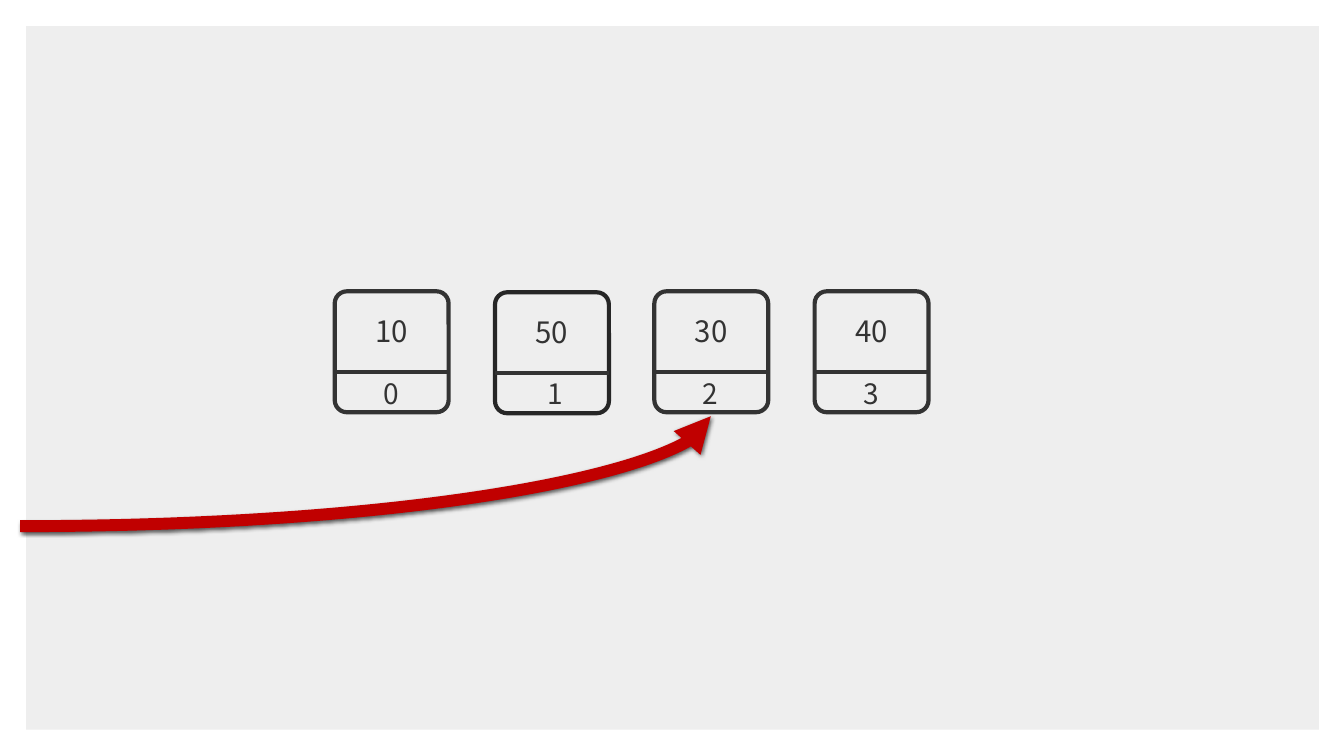
from dataclasses import dataclass

from lxml import etree
from pptx import Presentation
from pptx.dml.color import RGBColor
from pptx.enum.shapes import MSO_CONNECTOR as Connector, MSO_SHAPE as Shape
from pptx.enum.text import MSO_ANCHOR as Anchor, MSO_AUTO_SIZE as AutoSize, PP_ALIGN as Align
from pptx.oxml import parse_xml
from pptx.oxml.ns import nsdecls, qn
from pptx.util import Pt

PX = 9144  # 100 px to the inch


@dataclass(frozen=True)
class Theme:
    font: str = "Noto Sans CJK KR"
    panel: RGBColor = RGBColor(0xEE, 0xEE, 0xEE)
    ink: RGBColor = RGBColor(0x33, 0x33, 0x33)
    dark: RGBColor = RGBColor(0x26, 0x26, 0x26)
    arrow: RGBColor = RGBColor(0xC0, 0x00, 0x00)
    value_size: int = 21
    index_size: int = 20
    box_line: float = 3
    arrow_line: float = 8.5


theme = Theme()


def add_text(shapes, text, *, left, top, width, height, size, anchor=Anchor.TOP):
    box = shapes.add_textbox(left * PX, top * PX, width * PX, height * PX)
    frame = box.text_frame
    frame.word_wrap = True
    frame.auto_size = AutoSize.SHAPE_TO_FIT_TEXT
    frame.vertical_anchor = anchor
    paragraph = frame.paragraphs[0]
    paragraph.alignment = Align.CENTER
    run = paragraph.add_run()
    run.text = text
    run.font.name = theme.font
    run.font.size = Pt(size)
    run.font.color.rgb = theme.ink


def add_line(shapes, kind, start, end, color, width):
    line = shapes.add_connector(kind, *(value * PX for value in start + end))
    line.line.color.rgb = color
    line.line.width = Pt(width)
    etree.SubElement(line._element.spPr, qn("a:effectLst"))
    return line


presentation = Presentation()
presentation.slide_width = 1333 * PX
presentation.slide_height = 750 * PX
slide = presentation.slides.add_slide(presentation.slide_layouts[6])

# Grey panel
panel = slide.shapes.add_shape(Shape.RECTANGLE, 26 * PX, 26 * PX, 1282 * PX, 698 * PX)
panel.shadow.inherit = False
panel.fill.solid()
panel.fill.fore_color.rgb = theme.panel
panel.line.fill.background()

# Array cells: value above, index below
cell_width, cell_height, divider_drop = 113, 120, 80
cells = [  # value, left, top, index left, outline
    ("10", 332, 289, 332, theme.ink),
    ("50", 491, 290, 494, theme.dark),
    ("30", 649, 289, 648, theme.ink),
    ("40", 808, 289, 808, theme.ink),
]
for index, (value, left, top, index_left, outline) in enumerate(cells):
    shapes = slide.shapes.add_group_shape().shapes
    box = shapes.add_shape(Shape.ROUNDED_RECTANGLE, left * PX, top * PX,
                           cell_width * PX, cell_height * PX)
    box.adjustments[0] = 0.107
    box.shadow.inherit = False
    box.fill.background()
    box.line.color.rgb = outline
    box.line.width = Pt(theme.box_line)
    divider = top + divider_drop
    add_line(shapes, Connector.STRAIGHT, (left, divider), (left + cell_width, divider),
             theme.ink, theme.box_line)
    add_text(shapes, str(index), left=index_left, top=369, width=cell_width, height=44,
             size=theme.index_size)
    add_text(shapes, value, left=left, top=top + 17, width=cell_width, height=45,
             size=theme.value_size, anchor=Anchor.MIDDLE)

# Curved arrow to index 2
arrow = add_line(slide.shapes, Connector.CURVE, (20, 522), (705, 413),
                 theme.arrow, theme.arrow_line)
properties = arrow._element.spPr
properties.find(qn("a:prstGeom")).set("prst", "curvedConnector2")
etree.SubElement(properties.find(qn("a:ln")), qn("a:tailEnd"), type="triangle")
properties.find(qn("a:effectLst")).append(parse_xml(
    f'<a:outerShdw {nsdecls("a")} blurRad="{Pt(3)}" dist="{Pt(1)}" dir="5400000" rotWithShape="0">'
    '<a:srgbClr val="000000"><a:alpha val="63000"/></a:srgbClr></a:outerShdw>'))

presentation.save("out.pptx")
